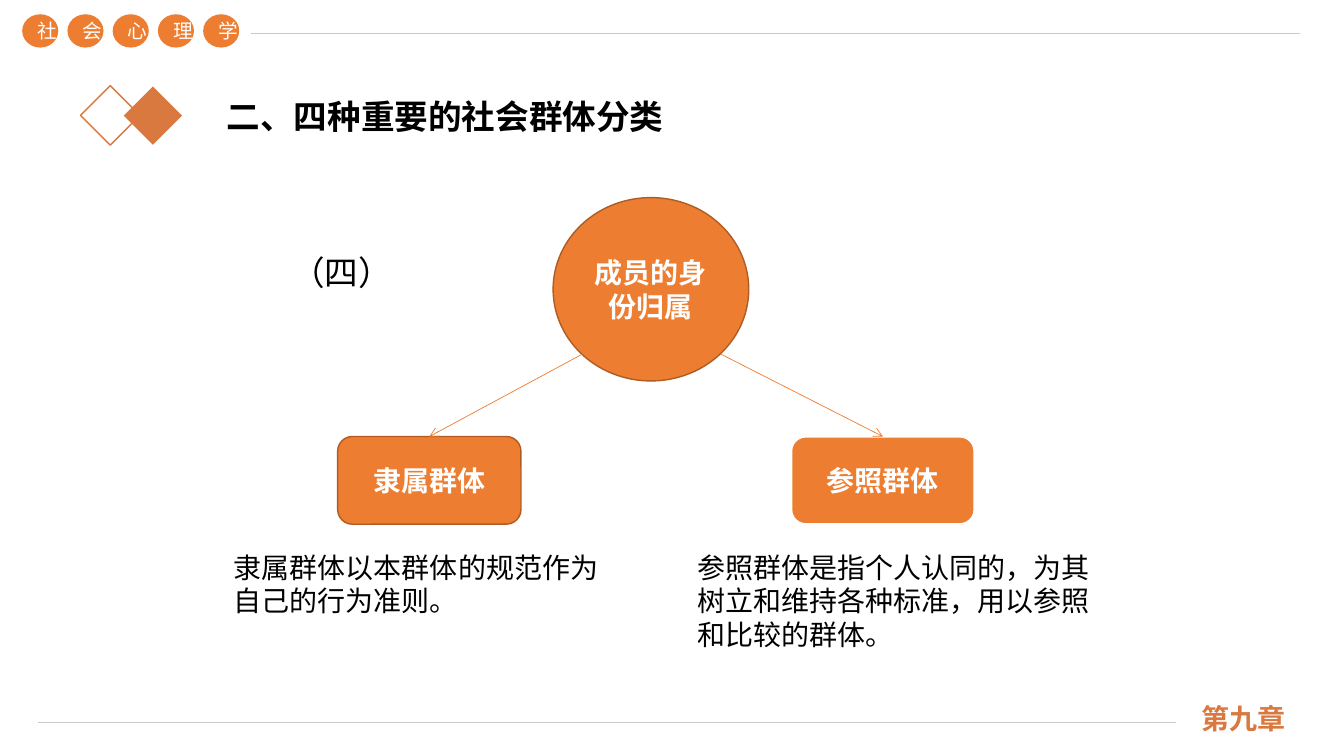
from lxml import etree
from pptx import Presentation
from pptx.dml.color import RGBColor
from pptx.enum.shapes import MSO_CONNECTOR, MSO_SHAPE
from pptx.enum.text import MSO_ANCHOR, MSO_AUTO_SIZE, PP_ALIGN
from pptx.oxml.ns import qn
from pptx.util import Cm, Pt

OVAL = MSO_SHAPE.OVAL
ROUND = MSO_SHAPE.ROUNDED_RECTANGLE
DIAMOND = MSO_SHAPE.DIAMOND
STRAIGHT = MSO_CONNECTOR.STRAIGHT
TOP, MIDDLE, BOTTOM = MSO_ANCHOR.TOP, MSO_ANCHOR.MIDDLE, MSO_ANCHOR.BOTTOM
LEFT, CENTER, JUSTIFY = PP_ALIGN.LEFT, PP_ALIGN.CENTER, PP_ALIGN.JUSTIFY
NO_FIT = MSO_AUTO_SIZE.NONE

SANS = "Noto Sans CJK SC"
SANS_JP = "Noto Sans CJK JP"
ORANGE, RUST, BROWN = "ED7D31", "D9793F", "AF5C24"
GREY, WHITE, BLACK = "C9C9C9", "FFFFFF", "000000"


def color(code):
    return RGBColor.from_string(code)


def write(shape, text, size, code, bold=False, align=LEFT, anchor=TOP, face=SANS):
    """Put one styled paragraph into a shape and return it."""
    frame = shape.text_frame
    frame.text = text
    frame.word_wrap = True
    frame.vertical_anchor = anchor
    para = frame.paragraphs[0]
    para.alignment = align
    for run in para.runs:
        font = run.font
        font.name, font.size, font.bold = face, Pt(size), bold
        font.color.rgb = color(code)
        east = etree.SubElement(font._element, qn("a:ea"))
        east.set("typeface", face)
    return para


def add_text(slide, box, text, size, code, **style):
    label = slide.shapes.add_textbox(*map(Cm, box))
    return write(label, text, size, code, **style)


def add_shape(slide, kind, box, fill=None, edge=None, width=1):
    shape = slide.shapes.add_shape(kind, *map(Cm, box))
    shape.shadow.inherit = False
    if fill:
        shape.fill.solid()
        shape.fill.fore_color.rgb = color(fill)
    else:
        shape.fill.background()
    if edge:
        shape.line.color.rgb = color(edge)
        shape.line.width = Pt(width)
    else:
        shape.line.fill.background()
    return shape


def add_line(slide, start, end, code, width):
    line = slide.shapes.add_connector(STRAIGHT, *map(Cm, start + end))
    line.line.color.rgb = color(code)
    line.line.width = Pt(width)
    etree.SubElement(line._element.spPr, qn("a:effectLst"))
    return line


def add_arrow(slide, start, target):
    arrow = add_line(slide, start, start, ORANGE, 0.5)
    arrow.end_connect(target, 0)
    tail = etree.SubElement(arrow.line._get_or_add_ln(), qn("a:tailEnd"))
    tail.set("type", "arrow")


def add_title(slide, box, text):
    title = slide.shapes.title
    title.left, title.top, title.width, title.height = map(Cm, box)
    write(title, text, 24, BLACK, bold=True)
    title.text_frame.auto_size = NO_FIT
    title.text_frame.word_wrap = False


def add_frame(slide):
    # Rules, chapter name and course badges
    add_line(slide, (0.97, 18.21), (29.64, 18.21), GREY, 1)
    add_line(slide, (6.32, 0.84), (32.77, 0.84), GREY, 1)
    add_text(slide, (30.02, 17.63, 3.8, 1.02), "第九章", 20, RUST,
             bold=True, anchor=BOTTOM, face=SANS_JP)
    for i, char in enumerate("社会心理学"):
        badge = add_shape(slide, OVAL, (0.56 + 1.14 * i, 0.36, 0.91, 0.84), ORANGE)
        write(badge, char, 14, WHITE, align=CENTER, anchor=MIDDLE)

    # Diamonds beside the title
    add_shape(slide, DIAMOND, (3.12, 2.18, 1.47, 1.47), RUST)
    add_shape(slide, DIAMOND, (2.03, 2.16, 1.5, 1.5), edge=RUST)


def add_node(slide, kind, box, text, edge=BROWN, width=1):
    node = add_shape(slide, kind, box, ORANGE, edge, width)
    write(node, text, 20, WHITE, bold=True, align=CENTER, anchor=MIDDLE)
    return node


def main():
    deck = Presentation()
    deck.slide_width, deck.slide_height = Cm(33.87), Cm(19.05)
    slide = deck.slides.add_slide(deck.slide_layouts[5])

    add_frame(slide)
    add_title(slide, (5.46, 2.29, 11.63, 1.27), "二、四种重要的社会群体分类")

    # Tree of group types
    add_node(slide, OVAL, (13.94, 4.98, 4.93, 4.62), "成员的身份归属")
    member = add_node(slide, ROUND, (8.51, 11, 4.62, 2.21), "隶属群体")
    model = add_node(slide, ROUND, (19.94, 11, 4.62, 2.21), "参照群体", WHITE, 1.5)
    add_arrow(slide, (14.68, 8.92), member)
    add_arrow(slide, (18.16, 8.92), model)

    # Explanations
    add_text(slide, (5.64, 13.74, 10.31, 1.96),
             "隶属群体以本群体的规范作为自己的行为准则。", 20, BLACK)
    add_text(slide, (17.32, 13.74, 11.07, 2.82),
             "参照群体是指个人认同的，为其树立和维持各种标准，用以参照和比较的群体。",
             20, BLACK)
    number = add_text(slide, (7.09, 5.72, 6.5, 1.63), "（四）", 24, BLACK, align=JUSTIFY)
    number.line_spacing = 1.5

    deck.save("out.pptx")


if __name__ == "__main__":
    main()
